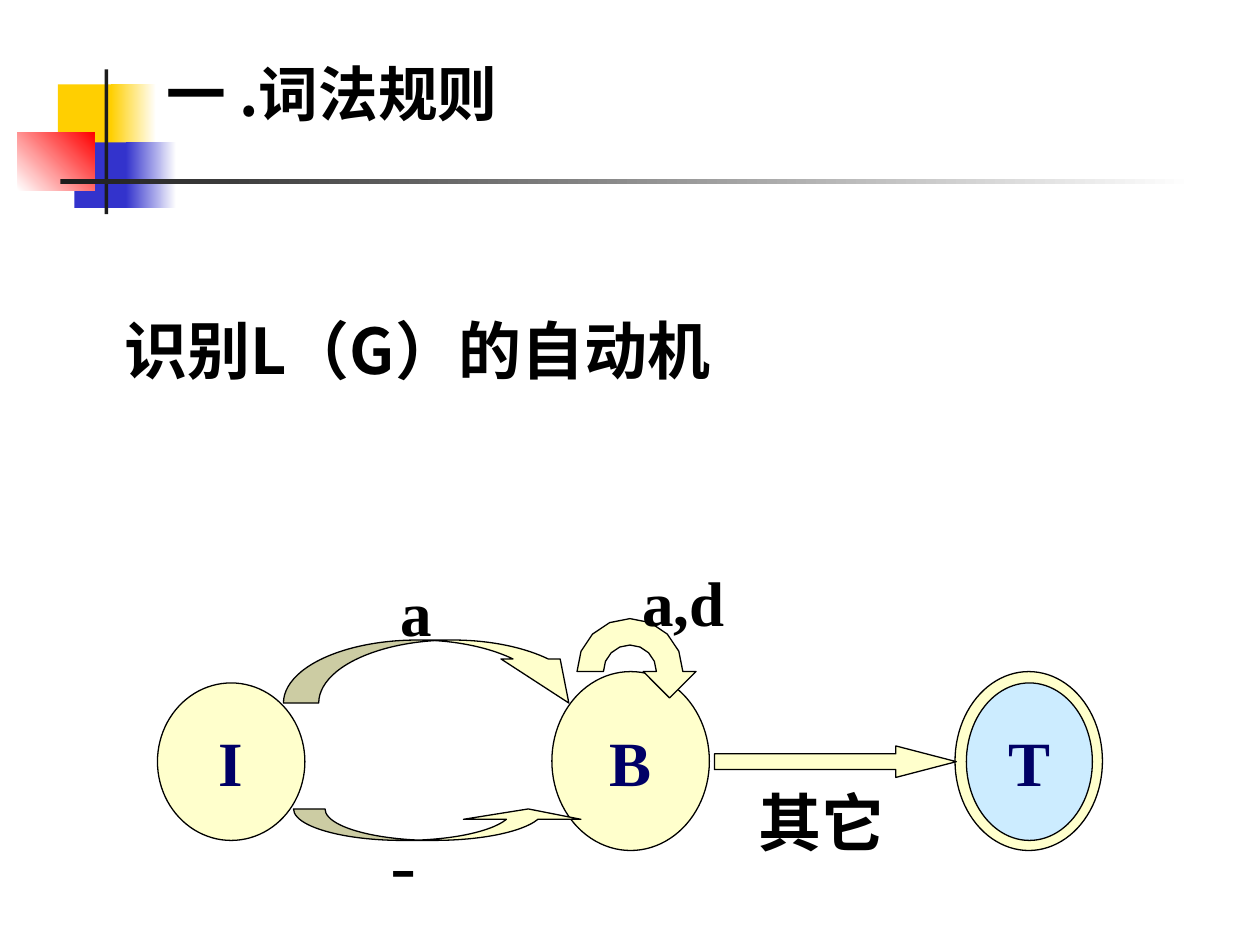
import math
from dataclasses import dataclass

import pptx
import pptx.dml.color
import pptx.enum.shapes
import pptx.enum.text
import pptx.util
from lxml import etree
from pptx.oxml import ns

Inches = pptx.util.Inches
MSO = pptx.enum.shapes.MSO_SHAPE
ALIGN = pptx.enum.text.PP_ALIGN
ANCHOR = pptx.enum.text.MSO_ANCHOR


@dataclass(frozen=True)
class Theme:
    """Colours, fonts and type sizes of the deck."""
    cream: str = "FFFFCC"
    sky: str = "CCECFF"
    navy: str = "000066"
    black: str = "000000"
    white: str = "FFFFFF"
    dark: str = "1C1C1C"
    yellow: str = "FFCF01"
    blue: str = "3333CC"
    red: str = "FF0000"
    serif: str = "Times New Roman"
    sans: str = "Noto Sans CJK SC"
    title: float = 34.1
    text: float = 36
    dash: float = 44
    line: float = 0.75


T = Theme()


def rgb(value):
    """Return the colour object for a hex value."""
    return pptx.dml.color.RGBColor.from_string(value)


def paint(sp, fill, outlined=True):
    """Give a shape a plain fill, an optional outline and no shadow."""
    sp.shadow.inherit = False
    sp.fill.solid()
    sp.fill.fore_color.rgb = rgb(fill)
    if outlined:
        sp.line.color.rgb = rgb(T.black)
        sp.line.width = pptx.util.Pt(T.line)
    else:
        sp.line.fill.background()


def add_preset(s, kind, x, y, w, h, fill, outlined=True, adjustments=()):
    """Add a painted preset shape."""
    sp = s.shapes.add_shape(kind, Inches(x), Inches(y), Inches(w), Inches(h))
    paint(sp, fill, outlined)
    for i, value in enumerate(adjustments):
        sp.adjustments[i] = value
    return sp


def write(tf, text, size, color=T.black, font=T.serif, bold=True, align=ALIGN.LEFT):
    """Write one run into the first paragraph of a text frame."""
    p = tf.paragraphs[0]
    p.alignment = align
    r = p.add_run()
    r.text = text
    r.font.name = font
    r.font.size = pptx.util.Pt(size)
    r.font.bold = bold
    r.font.color.rgb = rgb(color)
    ea = etree.SubElement(r.font._element, ns.qn("a:ea"))
    ea.set("typeface", T.sans)


def add_text(s, x, y, w, h, text, size=T.text, font=T.serif, bold=True):
    """Add a wrapping text box."""
    tf = s.shapes.add_textbox(Inches(x), Inches(y), Inches(w), Inches(h)).text_frame
    tf.word_wrap = True
    write(tf, text, size, font=font, bold=bold)


def add_loop(s, x, y, outer, inner):
    """Add a half-ring arrow centred on the given point."""
    def arc(radius, degrees):
        return [(radius * math.cos(math.radians(d)), -radius * math.sin(math.radians(d)))
                for d in degrees]

    middle, step = (outer + inner) / 2, 22.5
    angles = [i * step for i in range(9)]
    points = arc(outer, reversed(angles))
    points += [(middle + inner, 0), (middle, inner), (middle - inner, 0)]
    points += arc(inner, angles)
    placed = [(Inches(x + px), Inches(y + py)) for px, py in points]
    builder = s.shapes.build_freeform(*placed[0])
    builder.add_line_segments(placed[1:], close=True)
    paint(builder.convert_to_shape(), T.cream)


def add_state(s, x, y, w, h, label="", fill=T.cream):
    """Add an ellipse for one state of the automaton."""
    sp = add_preset(s, MSO.OVAL, x, y, w, h, fill)
    if label:
        tf = sp.text_frame
        tf.word_wrap = False
        tf.vertical_anchor = ANCHOR.MIDDLE
        write(tf, label, T.text, T.navy, align=ALIGN.CENTER)


def add_ornament(s, x, y):
    """Add the coloured squares and crossing rules of the header."""
    parts = [
        (0.32, 0.12, 0.48, 0.52, T.yellow, None, 0),
        (0.74, 0.12, 0.36, 0.52, T.yellow, T.white, 0),
        (0.45, 0.58, 0.46, 0.52, T.blue, None, 0),
        (0.86, 0.58, 0.4, 0.52, T.blue, T.white, 0),
        (0, 0.5, 0.61, 0.46, T.white, T.red, 45),
        (0.69, 0, 0.03, 1.15, T.dark, None, 0),
        (0.34, 0.87, 9, 0.04, T.dark, T.white, 0),
    ]
    for dx, dy, w, h, color, fade, angle in parts:
        sp = add_preset(s, MSO.RECTANGLE, x + dx, y + dy, w, h, color, False)
        if fade:
            sp.fill.gradient()
            sp.fill.gradient_angle = angle
            for stop, value, position in zip(sp.fill.gradient_stops, (color, fade), (0, 1)):
                stop.color.rgb = rgb(value)
                stop.position = position


def add_title(s, x, y, w, h, text):
    """Place and fill the title placeholder."""
    sp = s.shapes.title
    sp.left, sp.top, sp.width, sp.height = (Inches(v) for v in (x, y, w, h))
    tf = sp.text_frame
    tf.word_wrap = True
    tf.auto_size = pptx.enum.text.MSO_AUTO_SIZE.NONE
    tf.vertical_anchor = ANCHOR.BOTTOM
    write(tf, text, T.title, font=T.sans)
    tf.paragraphs[0].line_spacing = 0.8


def add_automaton(s, x, y):
    """Add the states, transitions and labels of the automaton."""
    add_state(s, x, y + 1, 1.17, 1.25, "I")
    add_state(s, x + 3.13, y + 0.91, 1.25, 1.42, "B")
    add_state(s, x + 6.33, y + 0.91, 1.17, 1.42)
    add_state(s, x + 6.42, y + 1, 1, 1.25, "T", T.sky)
    transitions = [
        (MSO.CURVED_DOWN_ARROW, 1, 0.66, 2.5, 0.5, (0.56, 0.94, 0.7)),
        (MSO.CURVED_UP_ARROW, 1.08, 2, 2.33, 0.25, (1.87, 3.73, 0.33)),
        (MSO.RIGHT_ARROW, 4.42, 1.5, 1.92, 0.25, (0.5, 1.92)),
    ]
    for kind, dx, dy, w, h, adjustments in transitions:
        add_preset(s, kind, x + dx, y + dy, w, h, T.cream, adjustments=adjustments)
    add_loop(s, x + 3.75, y + 0.91, 0.42, 0.21)
    add_text(s, x + 1.83, y + 0.08, 0.75, 0.7, "a")
    add_text(s, x + 1.75, y + 2, 0.67, 0.84, "-", T.dash, bold=False)
    add_text(s, x + 3.75, y, 1.08, 0.7, "a,d")
    add_text(s, x + 4.67, y + 1.75, 1.25, 0.7, "其它")


def main():
    """Build and save the slide."""
    prs = pptx.Presentation()
    prs.slide_width, prs.slide_height = Inches(10), Inches(7.5)
    s = prs.slides.add_slide(prs.slide_layouts[5])
    add_ornament(s, 0.14, 0.55)
    add_title(s, 1.22, 0.36, 8.56, 0.71, "一 .词法规则")
    add_text(s, 0.89, 2.42, 5.28, 0.7, "识别L（G）的自动机", font=T.sans)
    add_automaton(s, 1.25, 4.42)
    prs.save("out.pptx")


if __name__ == "__main__":
    main()
